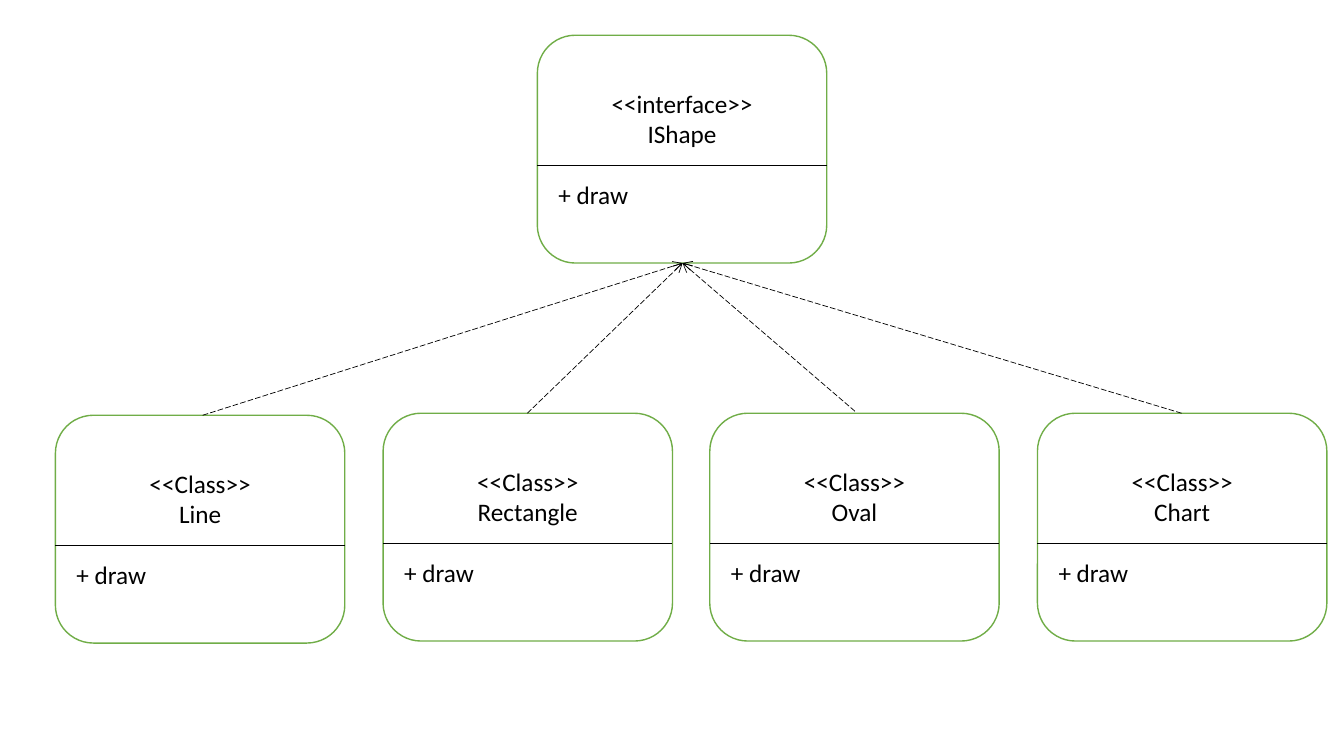
from lxml import etree
from pptx import Presentation
from pptx.dml.color import RGBColor
from pptx.enum.dml import MSO_LINE
from pptx.enum.shapes import MSO_CONNECTOR, MSO_SHAPE
from pptx.enum.text import MSO_ANCHOR, PP_ALIGN
from pptx.oxml.ns import qn
from pptx.util import Inches, Pt

COLORS = {"box": "FFFFFF", "border": "70AD47", "ink": "000000"}
BOX_WIDTH, BOX_HEIGHT = 2.87, 2.26
DIVIDER_OFFSET = 1.29
ARROW_TIP = (6.77, 2.61)


def write(paragraph, text, align=PP_ALIGN.CENTER, size=18, before=0):
    """Put formatted text into a paragraph."""
    paragraph.alignment = align
    paragraph.space_before = Pt(before)
    run = paragraph.add_run()
    run.text = text
    run.font.name = "Calibri"
    run.font.size = Pt(size)
    run.font.color.rgb = RGBColor.from_string(COLORS["ink"])


def add_line(slide, left, top, right, bottom):
    """Add a thin straight connector without a shadow."""
    line = slide.shapes.add_connector(
        MSO_CONNECTOR.STRAIGHT, Inches(left), Inches(top), Inches(right), Inches(bottom))
    line.line.color.rgb = RGBColor.from_string(COLORS["ink"])
    line.line.width = Pt(0.5)
    etree.SubElement(line._element.spPr, qn("a:effectLst"))
    return line


presentation = Presentation()
presentation.slide_width = Inches(13.33)
presentation.slide_height = Inches(7.5)
slide = presentation.slides.add_slide(presentation.slide_layouts[6])

# UML boxes: stereotype, name, left, top
uml_types = [
    ("<<interface>>", "IShape", 5.33, 0.35),
    ("<<Class>>", "Line", 0.55, 4.12),
    ("<<Class>>", "Rectangle", 3.8, 4.1),
    ("<<Class>>", "Oval", 7.04, 4.1),
    ("<<Class>>", "Chart", 10.29, 4.1),
]
for stereotype, name, left, top in uml_types:
    box = slide.shapes.add_shape(
        MSO_SHAPE.ROUNDED_RECTANGLE, Inches(left), Inches(top),
        Inches(BOX_WIDTH), Inches(BOX_HEIGHT))
    box.shadow.inherit = False
    box.fill.solid()
    box.fill.fore_color.rgb = RGBColor.from_string(COLORS["box"])
    box.line.color.rgb = RGBColor.from_string(COLORS["border"])
    box.line.width = Pt(1)
    frame = box.text_frame
    frame.word_wrap = True
    frame.vertical_anchor = MSO_ANCHOR.MIDDLE
    write(frame.paragraphs[0], stereotype)
    write(frame.add_paragraph(), name)
    write(frame.add_paragraph(), "+ draw", align=PP_ALIGN.LEFT, before=22)
    divider = top + DIVIDER_OFFSET
    add_line(slide, left, divider, left + BOX_WIDTH, divider)

# Dashed arrows from each class up to the interface
for start in [(2.01, 4.12), (5.23, 4.1), (8.48, 4.08), (11.72, 4.1)]:
    arrow = add_line(slide, *start, *ARROW_TIP)
    arrow.line.dash_style = MSO_LINE.LONG_DASH
    line_element = arrow._element.spPr.find(qn("a:ln"))
    etree.SubElement(line_element, qn("a:tailEnd"), type="arrow")

presentation.save("out.pptx")
